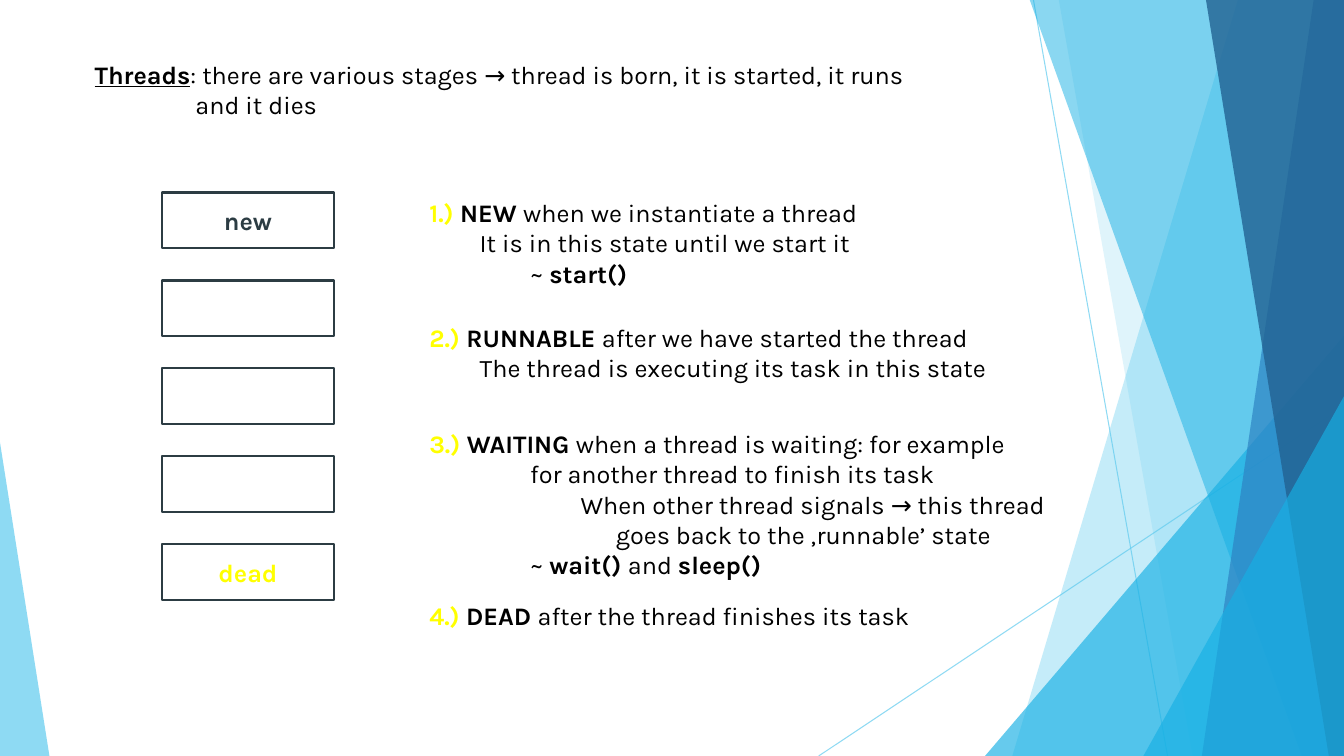
import pptx
import pptx.util
import pptx.dml.color
import pptx.enum.shapes
import pptx.enum.text
import pptx.oxml
import pptx.oxml.ns
from lxml import etree

Inches, Pt = pptx.util.Inches, pptx.util.Pt
RGBColor = pptx.dml.color.RGBColor
SHAPE = pptx.enum.shapes.MSO_SHAPE

BLACK = RGBColor(0x00, 0x00, 0x00)
YELLOW = RGBColor(0xFF, 0xFF, 0x00)
SLATE = RGBColor(0x2C, 0x3C, 0x43)
SKY = RGBColor(0x5F, 0xCB, 0xEF)
CYAN = RGBColor(0x17, 0xB0, 0xE4)
BLUE = RGBColor(0x2E, 0x83, 0xC3)
NAVY = RGBColor(0x22, 0x62, 0x92)

WIDTH, HEIGHT = 13.33, 7.5
FONT, SIZE = "Karla", 18


def set_alpha(sp, percent):
    clr = sp._element.spPr.find(".//" + pptx.oxml.ns.qn("a:srgbClr"))
    alpha = etree.SubElement(clr, pptx.oxml.ns.qn("a:alpha"))
    alpha.set("val", str(percent * 1000))


def paint(sp, color, alpha):
    sp.shadow.inherit = False
    sp.fill.solid()
    sp.fill.fore_color.rgb = color
    sp.line.fill.background()
    set_alpha(sp, alpha)


def add_thin_line(slide, x1, y1, x2, y2):
    line = slide.shapes.add_connector(
        pptx.enum.shapes.MSO_CONNECTOR.STRAIGHT,
        Inches(x1), Inches(y1), Inches(x2), Inches(y2))
    line.line.color.rgb = SKY
    line.line.width = Pt(0.75)
    set_alpha(line, 70)
    etree.SubElement(line._element.spPr, pptx.oxml.ns.qn("a:effectLst"))


def add_band(slide, top_x, bottom_x, color, alpha):
    """Band from a slanted left edge to the right edge of the slide."""
    points = [(WIDTH, -0.01), (WIDTH, HEIGHT), (bottom_x, HEIGHT)]
    builder = slide.shapes.build_freeform(Inches(top_x), Inches(-0.01))
    builder.add_line_segments([(Inches(x), Inches(y)) for x, y in points])
    paint(builder.convert_to_shape(), color, alpha)


def add_corner(slide, left, top, width, apex, color, alpha):
    """Triangle standing on the bottom edge of the slide."""
    sp = slide.shapes.add_shape(SHAPE.ISOSCELES_TRIANGLE, Inches(left), Inches(top),
                                Inches(width), Inches(HEIGHT - top))
    sp.adjustments[0] = apex
    paint(sp, color, alpha)


def add_run(p, text, color=BLACK, bold=False, underline=None):
    r = p.add_run()
    r.text = text
    r.font.name = FONT
    r.font.size = Pt(SIZE)
    r.font.color.rgb = color
    r.font.bold = bold
    r.font.underline = underline


def add_state_box(slide, top, label, color):
    sp = slide.shapes.add_shape(SHAPE.RECTANGLE, Inches(1.61), Inches(top),
                                Inches(1.7), Inches(0.55))
    sp.shadow.inherit = False
    sp.fill.background()
    sp.line.color.rgb = SLATE
    sp.line.width = Pt(1.5)
    if label:
        tf = sp.text_frame
        tf.vertical_anchor = pptx.enum.text.MSO_ANCHOR.MIDDLE
        p = tf.paragraphs[0]
        p.alignment = pptx.enum.text.PP_ALIGN.CENTER
        add_run(p, label, color, bold=True)


def add_text(slide, left, top, width, height, lines):
    """Each line is (indent in inches, list of run arguments)."""
    tf = slide.shapes.add_textbox(Inches(left), Inches(top),
                                  Inches(width), Inches(height)).text_frame
    tf.word_wrap = True
    for i, (indent, runs) in enumerate(lines):
        p = tf.add_paragraph() if i else tf.paragraphs[0]
        if indent:
            pPr = p._p.get_or_add_pPr()
            pPr.set("marL", str(Inches(indent)))
            pPr.set("indent", "0")
        for run in runs:
            add_run(p, *run)


def add_stage(slide, top, width, height, number, name, text, details=()):
    heading = [(f"{number}.) ", YELLOW, True), (name + " ", BLACK, True), (text,)]
    add_text(slide, 4.16, top, width, height, [(0, heading), *details])


def main():
    prs = pptx.Presentation()
    prs.slide_width, prs.slide_height = Inches(WIDTH), Inches(HEIGHT)
    slide = prs.slides.add_slide(prs.slide_layouts[6])

    # Background decoration, back to front
    add_thin_line(slide, 10.25, 0, 11.58, HEIGHT)
    add_thin_line(slide, WIDTH, 4.03, 8.12, HEIGHT)
    add_band(slide, 12.28, 10.04, SKY, 36)
    add_band(slide, 10.5, 11.83, SKY, 20)
    add_corner(slide, 9.77, 3.33, 3.56, 1, CYAN, 66)
    add_band(slide, 10.21, 12.91, CYAN, 50)
    add_band(slide, 13.03, 11.92, BLUE, 70)
    add_band(slide, 11.96, 13.18, NAVY, 80)
    add_corner(slide, 11.34, 3.93, 1.99, 1, CYAN, 66)
    add_corner(slide, 0, 4.39, 0.49, 0, SKY, 70)

    # Introduction
    add_text(slide, 0.84, 0.54, 8.52, 0.71, [
        (0, [("Threads", BLACK, True, True),
             (": there are various stages → thread is born, it is started, it runs",)]),
        (1, [("and it dies",)]),
    ])

    # Column of thread states
    states = [("new", SLATE), ("", SLATE), ("", SLATE), ("", SLATE), ("dead", YELLOW)]
    first, last = 1.91, 5.4
    pitch = (last - first) / (len(states) - 1)
    for i, (label, color) in enumerate(states):
        add_state_box(slide, first + i * pitch, label, color)

    # Explanation of each stage
    add_stage(slide, 1.91, 4.96, 1.01, 1, "NEW", "when we instantiate a thread", [
        (0.5, [("It is in this state until we start it",)]),
        (1, [("~ ",), ("start()", BLACK, True)]),
    ])
    add_stage(slide, 3.15, 6.34, 0.71, 2, "RUNNABLE", "after we have started the thread", [
        (0.5, [("The thread is executing its task in this state",)]),
    ])
    add_stage(slide, 4.2, 8.09, 1.62, 3, "WAITING", "when a thread is waiting: for example", [
        (1, [("for another thread to finish its task",)]),
        (1.5, [("When other thread signals → this thread",)]),
        (1.85, [("goes back to the ‚runnable’ state",)]),
        (1, [("~ ",), ("wait() ", BLACK, True), ("and ",), ("sleep()", BLACK, True)]),
    ])
    add_stage(slide, 5.91, 5.04, 0.4, 4, "DEAD", "after the thread finishes its task")

    prs.save("out.pptx")


if __name__ == "__main__":
    main()
